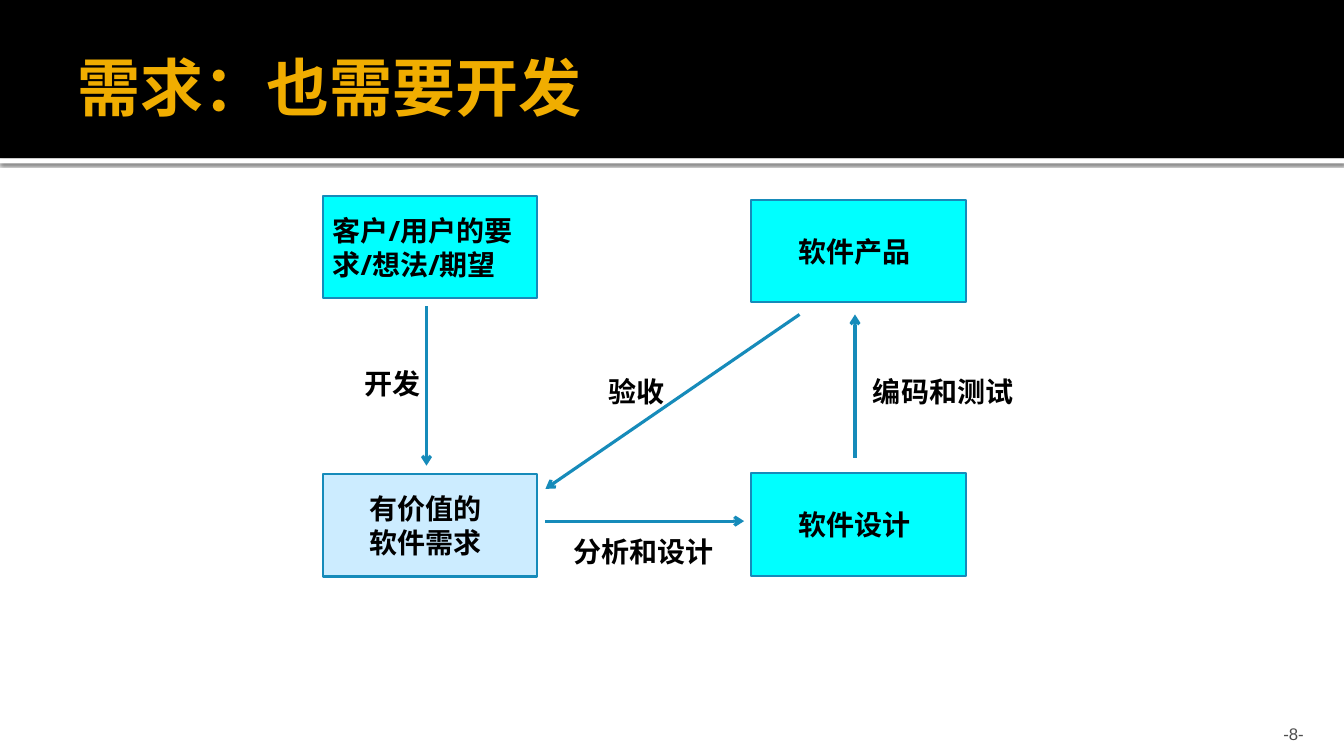
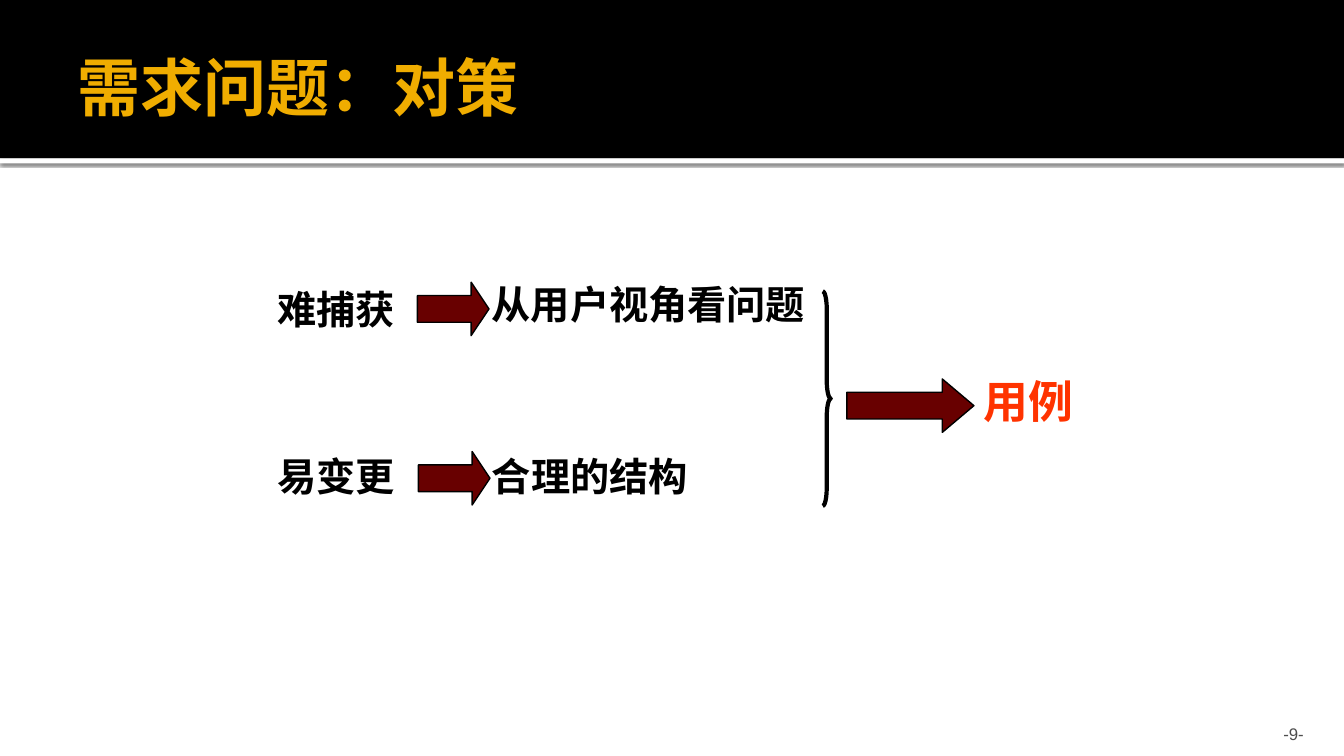
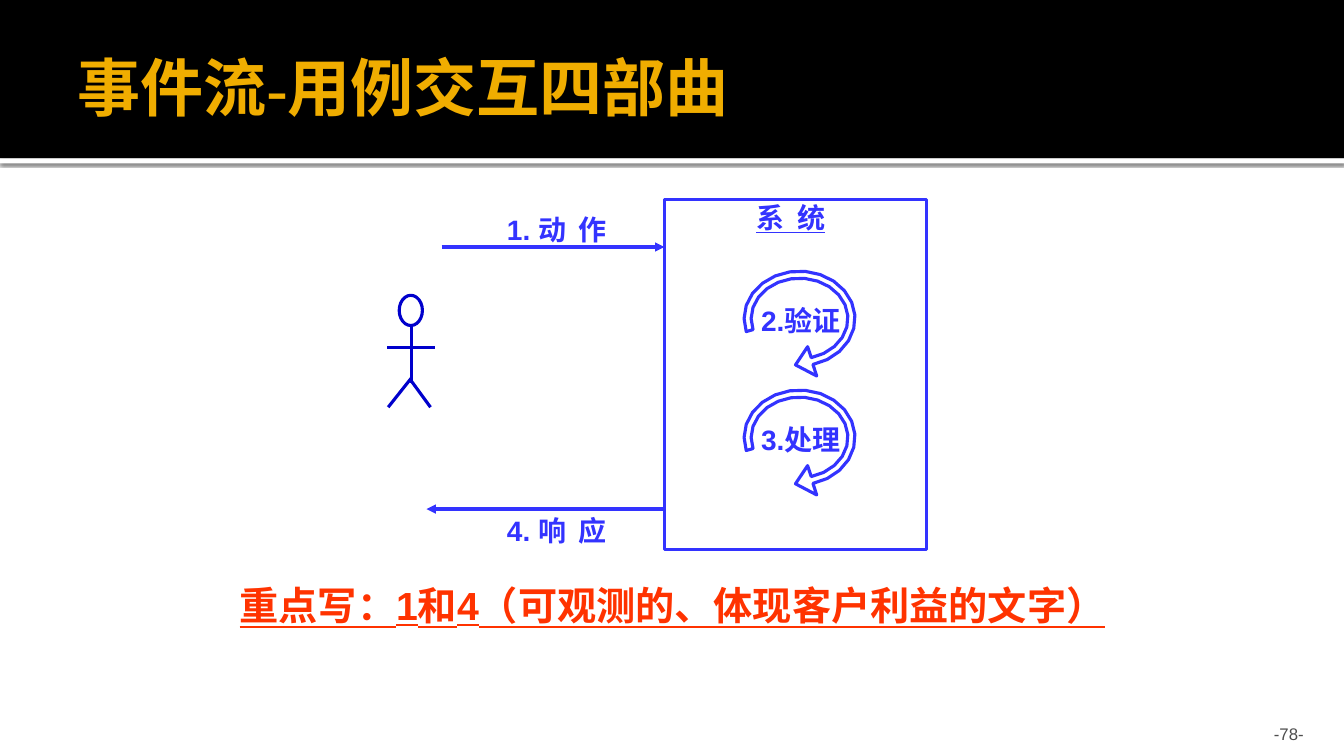
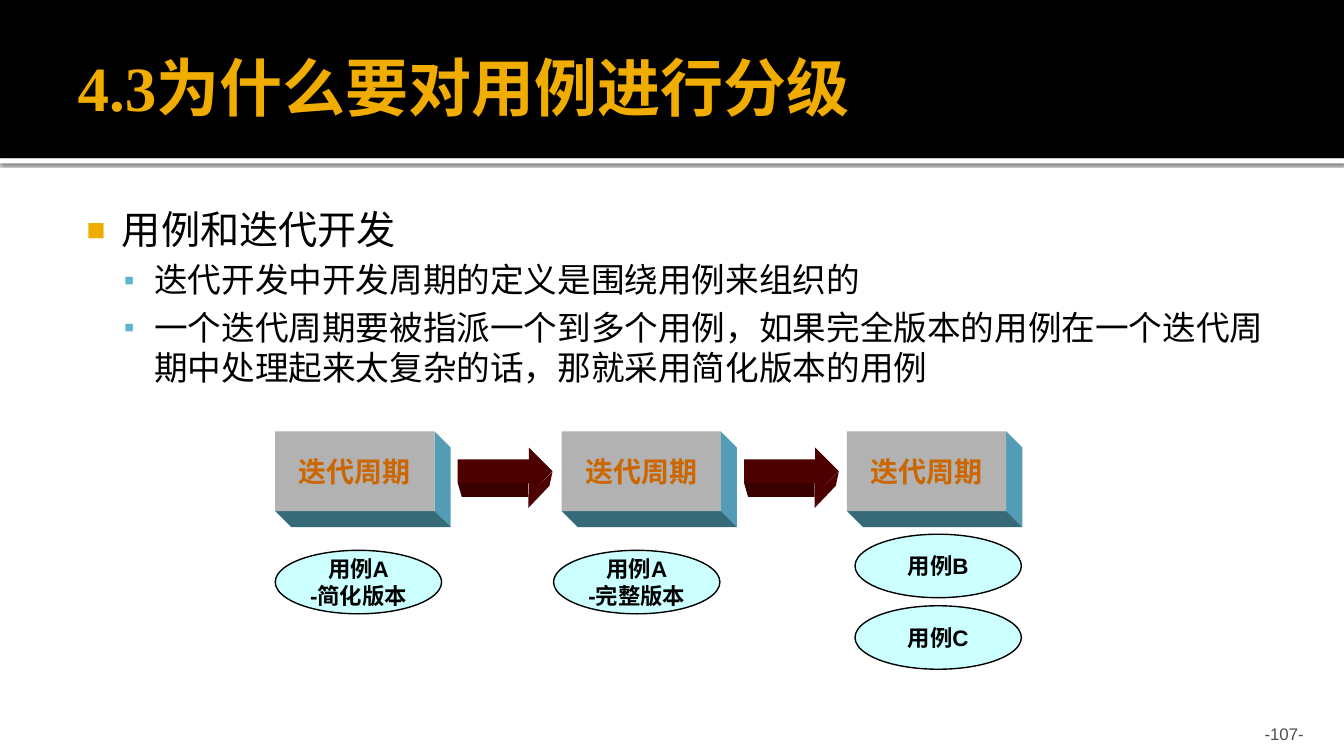
from math import cos, radians, sin

from lxml.etree import SubElement
from pptx import Presentation
from pptx.dml.color import RGBColor
from pptx.enum.shapes import MSO_CONNECTOR, MSO_SHAPE
from pptx.enum.text import MSO_ANCHOR, MSO_AUTO_SIZE, PP_ALIGN
from pptx.oxml.ns import qn
from pptx.util import Inches, Pt

# ---------- Shared look ----------
BLACK, WHITE, GOLD = "000000", "FFFFFF", "F0AD00"
STEEL, CYAN, PALE_BLUE = "168BBA", "00FFFF", "CCECFF"
BLUE, NAVY, RED, MAROON = "3333FF", "0000CC", "FF3300", "680000"
LEFT, CENTER, RIGHT = PP_ALIGN.LEFT, PP_ALIGN.CENTER, PP_ALIGN.RIGHT
TOP, MIDDLE, BOTTOM = MSO_ANCHOR.TOP, MSO_ANCHOR.MIDDLE, MSO_ANCHOR.BOTTOM
INSETS = (0.1, 0.05, 0.1, 0.05)

TITLE = dict(size=45, name="Times New Roman", color=GOLD, bold=True)
NUMBER = dict(size=12, name="Arial", color="4D4D4D")
FLOW = dict(size=20, name="Open Sans", color=BLACK, bold=True)
ISSUE = dict(size=28, name="Arial", color=BLACK, bold=True)
ANSWER = dict(size=32, name="Arial", color=RED, bold=True)
STEP = dict(size=20, name="Arial", color=BLUE, bold=True)
SYSTEM = dict(STEP, underline=True)
KEY_POINT = dict(ISSUE, color=RED, underline=True)
CYCLE = dict(size=20, name="Arial", color="CC6600", bold=True)
CASE = dict(size=16, name="Arial", color=BLACK, bold=True)

# ---------- Content: requirements flow ----------
BOX_SIZE = (2.13, 1.02)
FLOW_BOXES = [  # left, top, text, fill, alignment, right inset
    (3.2, 1.94, "客户/用户的要求/想法/期望", CYAN, LEFT, 0.03),
    (7.45, 4.69, "软件设计", CYAN, CENTER, 0.18),
    (7.45, 1.98, "软件产品", CYAN, CENTER, 0.18),
    (3.2, 4.7, "有价值的\v软件需求", PALE_BLUE, CENTER, 0.18),
]
FLOW_ARROWS = [
    ((4.23, 3.04), (4.23, 4.62)),
    ((8.48, 4.54), (8.48, 3.12)),
    ((7.93, 3.12), (5.41, 4.85)),
    ((5.41, 5.17), (7.38, 5.17)),
]
FLOW_LABELS = [
    ((3.52, 3.59, 0.79, 0.43), "开发", LEFT),
    ((8.56, 3.67, 1.65, 0.43), "编码和测试", LEFT),
    ((5.88, 3.67, 0.87, 0.43), "验收", CENTER),
    ((5.56, 5.25, 1.65, 0.43), "分析和设计", CENTER),
]

# ---------- Content: problems and remedies ----------
ISSUE_LABELS = [
    ((2.65, 2.78, 1.5, 0.57), "难捕获", ISSUE),
    ((2.65, 4.44, 1.88, 0.57), "易变更", ISSUE),
    ((4.78, 2.73, 3.46, 0.57), "从用户视角看问题", ISSUE),
    ((4.78, 4.44, 3.65, 0.57), "合理的结构", ISSUE),
    ((9.66, 3.66, 1.26, 0.63), "用例", ANSWER),
]
ISSUE_ARROWS = [  # place, head length
    ((4.14, 2.8, 0.71, 0.53), 0.334),
    ((4.15, 4.48, 0.71, 0.53), 0.334),
    ((8.4, 3.76, 1.26, 0.53), 0.592),
]

# ---------- Content: four-step interaction ----------
ACTOR_HEAD = (3.96, 2.93, 0.23, 0.3)
ACTOR_LIMBS = [
    ((3.84, 3.45), (4.31, 3.45)),
    ((4.08, 3.23), (4.08, 3.8)),
    ((4.08, 3.75), (3.85, 4.04)),
    ((4.08, 3.78), (4.27, 4.04)),
]
MESSAGES = [((4.38, 2.45), (6.59, 2.45)), ((6.59, 5.05), (4.23, 5.05))]
LOOP_CENTERS = [(7.93, 3.16), (7.93, 4.34)]
LOOP_OUTER, LOOP_INNER = (0.55, 0.47), (0.48, 0.4)
LOOP_HEAD = [(0.17, 0.57), (-0.04, 0.46), (0.08, 0.28)]
LOOP_ANGLES = range(164, 437, 16)
STEP_LABELS = [
    ((4.93, 2.06, 1.42, 0.43), "1. 动  作"),
    ((4.93, 5.05, 1.81, 0.43), "4. 响  应"),
    ((7.45, 2.96, 1.1, 0.43), "2.验证"),
    ((7.45, 4.14, 1.1, 0.43), "3.处理"),
]

# ---------- Content: iterations ----------
BULLETS = [  # text, level
    ("用例和迭代开发", 0),
    ("迭代开发中开发周期的定义是围绕用例来组织的", 1),
    ("一个迭代周期要被指派一个到多个用例，如果完全版本的用例在一个迭代周期中"
     "处理起来太复杂的话，那就采用简化版本的用例", 1),
]
BULLET_LEVELS = [  # text size, left, hanging, space before, mark, colour, percent
    (28, 0.48, 0.35, 0, "■", GOLD, 80),
    (24, 0.8, 0.3, 4.8, "▪", "60B5CC", 90),
]
CYCLE_LEFTS = [2.73, 5.57, 8.4]
CYCLE_TOP, CYCLE_WIDTH, CYCLE_HEIGHT, CYCLE_DEPTH = 4.28, 1.58, 0.79, 0.16
CYCLE_ARROW_LEFTS = [4.54, 7.38]
CYCLE_ARROW_TOP = 4.44
SHAFT_SIDE = [(0, 0.35), (0.04, 0.49), (0.7, 0.49), (0.7, 0.35)]
HEAD_SIDE = [(0.7, 0.47), (0.7, 0.6), (0.91, 0.38), (0.94, 0.24)]
CASES = [
    (2.73, 5.46, "用例A\n-简化版本"),
    (5.49, 5.46, "用例A\n-完整版本"),
    (8.48, 5.3, "用例B"),
    (8.48, 6.01, "用例C"),
]


# ---------- Helpers ----------
def rgb(color):
    return RGBColor.from_string(color)


def write(box, text, style, align=LEFT, anchor=TOP, insets=INSETS, wrap=True):
    frame = box.text_frame
    left, top, right, bottom = map(Inches, insets)
    layout = dict(text=text, word_wrap=wrap, auto_size=MSO_AUTO_SIZE.NONE,
                  vertical_anchor=anchor, margin_left=left, margin_top=top,
                  margin_right=right, margin_bottom=bottom)
    for key, value in layout.items():
        setattr(frame, key, value)
    for para in frame.paragraphs:
        para.alignment = align
        for span in para.runs:
            for key, value in style.items():
                if key == "color":
                    span.font.color.rgb = rgb(value)
                else:
                    setattr(span.font, key, Pt(value) if key == "size" else value)


def label(page, place, text, style, **options):
    box = page.shapes.add_textbox(*map(Inches, place))
    write(box, text, style, **options)
    return box


def paint(shape, fill=None, line=None, width=1):
    shape.shadow.inherit = False
    if fill:
        shape.fill.solid()
        shape.fill.fore_color.rgb = rgb(fill)
    else:
        shape.fill.background()
    if line:
        shape.line.color.rgb = rgb(line)
        shape.line.width = Pt(width)
    else:
        shape.line.fill.background()
    return shape


def draw(page, kind, place, adjust=(), **look):
    shape = page.shapes.add_shape(kind, *map(Inches, place))
    for index, value in enumerate(adjust):
        shape.adjustments[index] = value
    return paint(shape, **look)


def outline(page, points, **look):
    points = [(Inches(x), Inches(y)) for x, y in points]
    builder = page.shapes.build_freeform(*points[0])
    builder.add_line_segments(points[1:], close=True)
    return paint(builder.convert_to_shape(), **look)


def connect(page, start, end, color, head=None):
    line = page.shapes.add_connector(MSO_CONNECTOR.STRAIGHT, *map(Inches, start + end))
    line.line.color.rgb = rgb(color)
    line.line.width = Pt(2.25)
    if head:
        SubElement(line.get_or_add_ln(), qn("a:tailEnd"), type=head)
    SubElement(line.element.spPr, qn("a:effectLst"))


def shifted(points, left, top):
    return [(left + x, top + y) for x, y in points]


def arc(radii, angles):
    return [(radii[0] * cos(radians(a)), radii[1] * sin(radians(a))) for a in angles]


def set_bullet(para, left, hanging, mark, color, percent):
    props = para._p.get_or_add_pPr()
    props.set("marL", str(Inches(left)))
    props.set("indent", str(-Inches(hanging)))
    SubElement(SubElement(props, qn("a:buClr")), qn("a:srgbClr"), val=color)
    SubElement(props, qn("a:buSzPct"), val=str(percent * 1000))
    SubElement(props, qn("a:buFont"), typeface="Arial")
    SubElement(props, qn("a:buChar"), char=mark)


# ---------- Deck, title and band ----------
deck = Presentation()
deck.slide_width, deck.slide_height = Inches(13.33), Inches(7.5)
title_only = deck.slide_layouts[5]


def add_page(title, number):
    page = deck.slides.add_slide(title_only)
    head = page.shapes.title
    head.left, head.top, head.width, head.height = map(Inches, (0.67, 0.17, 12, 1.37))
    write(head, title, TITLE, anchor=MIDDLE, insets=(0.1, 0.05, 0.05, 0.05))
    label(page, (11.96, 7.08, 1.07, 0.3), f"-{number}-", NUMBER,
          align=RIGHT, anchor=BOTTOM, insets=(0.1, 0.05, 0.1, 0))
    return page


def move_band_to_layout(page):
    stripe = draw(page, MSO_SHAPE.RECTANGLE, (0, 1.57, 13.33, 0.05), fill=WHITE)
    effects = stripe.element.spPr.find(qn("a:effectLst"))
    shadow = SubElement(effects, qn("a:outerShdw"), blurRad=str(Pt(2.5)),
                        dist=str(Pt(0.8)), dir="5400000", rotWithShape="0")
    tint = SubElement(shadow, qn("a:srgbClr"), val=BLACK)
    SubElement(tint, qn("a:alpha"), val="60000")
    band = draw(page, MSO_SHAPE.RECTANGLE, (0, 0, 13.33, 1.57), fill=BLACK)
    for index, part in enumerate((stripe, band)):
        title_only.shapes.element.insert(2 + index, part.element)


# ---------- Requirements flow ----------
page = add_page("需求：也需要开发", 8)
move_band_to_layout(page)
for left, top, text, fill, align, right_inset in FLOW_BOXES:
    box = draw(page, MSO_SHAPE.RECTANGLE, (left, top, *BOX_SIZE),
               fill=fill, line=STEEL, width=1.5)
    write(box, text, FLOW, align, MIDDLE, (0.1, 0.05, right_inset, 0.05))
for start, end in FLOW_ARROWS:
    connect(page, start, end, STEEL, "arrow")
for place, text, align in FLOW_LABELS:
    label(page, place, text, FLOW, align=align)

# ---------- Problems and remedies ----------
page = add_page("需求问题：对策", 9)
for place, text, style in ISSUE_LABELS:
    label(page, place, text, style)
for place, head_length in ISSUE_ARROWS:
    draw(page, MSO_SHAPE.RIGHT_ARROW, place, (0.5, head_length), fill=MAROON, line=BLACK)
draw(page, MSO_SHAPE.RIGHT_BRACE, (8.16, 2.89, 0.08, 2.13), (2.219, 0.5),
     line=BLACK, width=3)

# ---------- Four-step interaction ----------
page = add_page("事件流-用例交互四部曲", 78)
system = draw(page, MSO_SHAPE.RECTANGLE, (6.59, 1.98, 2.6, 3.47), line=BLUE, width=2.25)
write(system, "系  统", SYSTEM, CENTER, insets=(0.1, 0.01, 0.19, 0.05))
draw(page, MSO_SHAPE.OVAL, ACTOR_HEAD, line=NAVY, width=2.25)
for start, end in ACTOR_LIMBS:
    connect(page, start, end, NAVY)
for start, end in MESSAGES:
    connect(page, start, end, BLUE, "triangle")
loop = arc(LOOP_OUTER, LOOP_ANGLES) + LOOP_HEAD + arc(LOOP_INNER, reversed(LOOP_ANGLES))
for center in LOOP_CENTERS:
    outline(page, shifted(loop, *center), line=BLUE, width=2.25)
for place, text in STEP_LABELS:
    label(page, place, text, STEP)
label(page, (2.18, 5.72, 8.98, 1.04), "重点写：1和4（可观测的、体现客户利益的文字）",
      KEY_POINT, align=CENTER)

# ---------- Iterations ----------
page = add_page("4.3为什么要对用例进行分级", 107)
body = label(page, (0.67, 1.94, 12, 2.2), "\n".join(text for text, _ in BULLETS),
             dict(name="Times New Roman", color=BLACK), insets=(0.06, 0.1, 0.1, 0.05))
for para, (_, level) in zip(body.text_frame.paragraphs, BULLETS):
    size, left, hanging, before, mark, color, percent = BULLET_LEVELS[level]
    para.level = level
    para.space_before = Pt(before)
    para.runs[0].font.size = Pt(size)
    set_bullet(para, left, hanging, mark, color, percent)

# Cycle blocks with a right and a lower side face
width, height, depth = CYCLE_WIDTH, CYCLE_HEIGHT, CYCLE_DEPTH
right_face = [(width, 0), (width + depth, depth),
              (width + depth, height + depth), (width, height)]
lower_face = [(0, height), (width, height),
              (width + depth, height + depth), (depth, height + depth)]
for left in CYCLE_LEFTS:
    outline(page, shifted(right_face, left, CYCLE_TOP), fill="529DB5")
    outline(page, shifted(lower_face, left, CYCLE_TOP), fill="366A78")
    block = draw(page, MSO_SHAPE.RECTANGLE, (left, CYCLE_TOP, width, height), fill="B2B2B2")
    write(block, "迭代周期", CYCLE, CENTER, MIDDLE, wrap=False)
for left in CYCLE_ARROW_LEFTS:
    outline(page, shifted(SHAFT_SIDE, left, CYCLE_ARROW_TOP), fill="3A0000")
    outline(page, shifted(HEAD_SIDE, left, CYCLE_ARROW_TOP), fill="4D0000")
    draw(page, MSO_SHAPE.RIGHT_ARROW, (left, CYCLE_ARROW_TOP, 0.94, 0.47), fill="4D0000")
for left, top, text in CASES:
    case = draw(page, MSO_SHAPE.OVAL, (left, top, 1.65, 0.63), fill="CCFFFF", line=BLACK)
    write(case, text, CASE, CENTER, MIDDLE, wrap=False)

deck.save("out.pptx")
